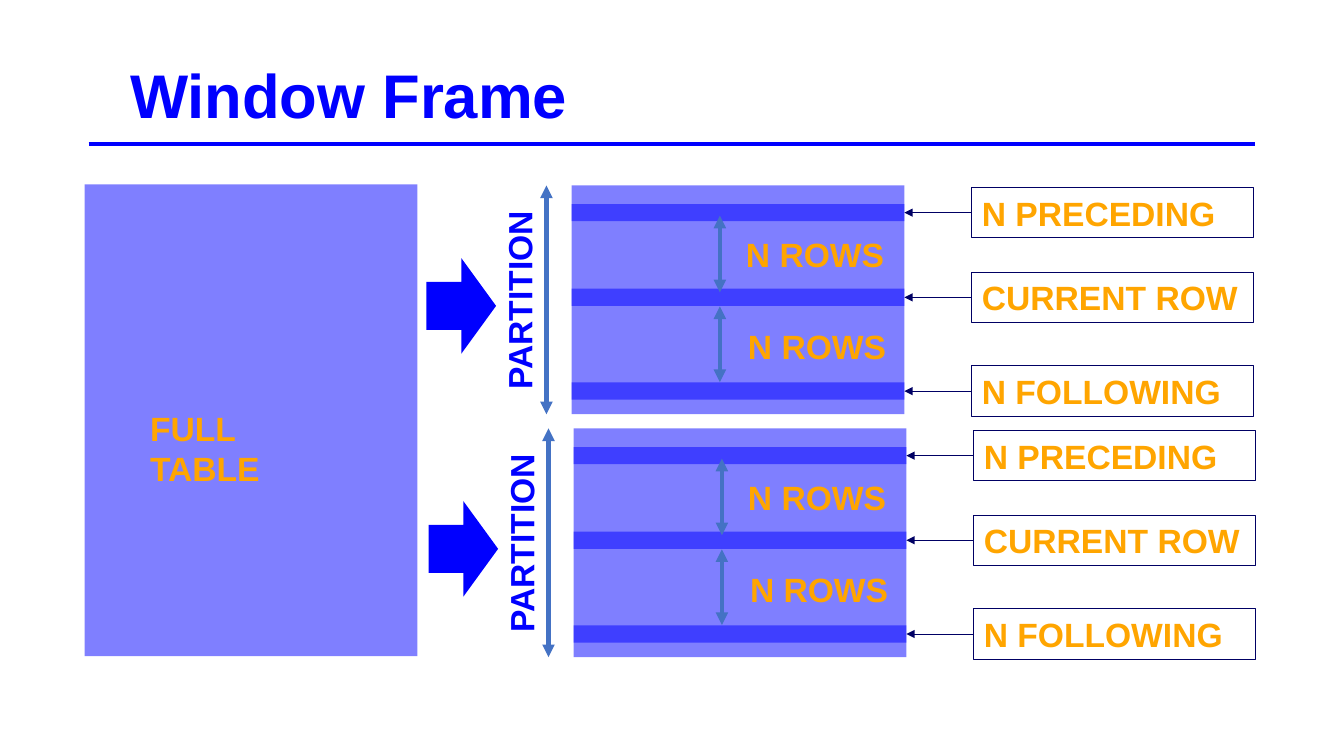
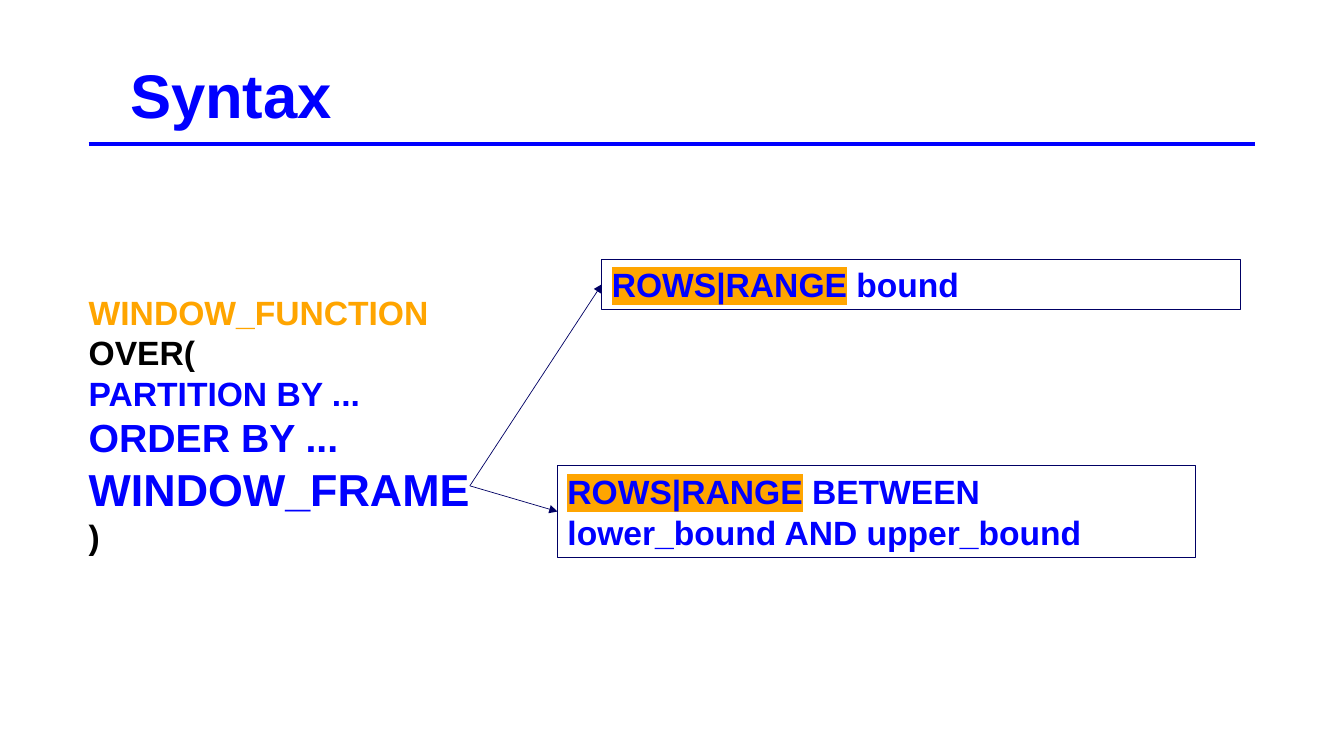
from dataclasses import dataclass

from pptx import Presentation
from pptx.dml.color import RGBColor
from pptx.enum.shapes import MSO_CONNECTOR, MSO_SHAPE
from pptx.enum.text import MSO_ANCHOR, MSO_AUTO_SIZE, PP_ALIGN
from pptx.oxml.ns import qn
from pptx.oxml.xmlchemy import OxmlElement
from pptx.util import Inches, Pt

STRAIGHT = MSO_CONNECTOR.STRAIGHT
RECTANGLE = MSO_SHAPE.RECTANGLE
RIGHT_ARROW = MSO_SHAPE.RIGHT_ARROW
TOP = MSO_ANCHOR.TOP
NO_AUTOFIT = MSO_AUTO_SIZE.NONE
ALIGN_LEFT = PP_ALIGN.LEFT
LEFT_SIDE, RIGHT_SIDE = 1, 3
TITLE_ONLY, TITLE_AND_CONTENT = 5, 1


@dataclass(frozen=True)
class Theme:
    font: str = "Arial"
    blue: str = "0000FF"
    orange: str = "FFA500"
    navy: str = "000064"
    steel: str = "4472C4"
    black: str = "000000"
    white: str = "FFFFFF"
    title_size: int = 44
    frame_size: int = 32
    order_size: int = 28
    text_size: int = 24
    line_height: float = 1.21
    thick: float = 3
    border: float = 0.75
    thin: float = 0.5
    half_opaque: int = 50


@dataclass(frozen=True)
class Run:
    text: str
    color: str
    size: int = Theme.text_size
    highlight: str = ""


def color_of(value):
    return RGBColor.from_string(value)


def add_child(parent, tag, **attributes):
    child = OxmlElement(tag)
    for name, value in attributes.items():
        child.set(name, str(value))
    parent.append(child)
    return child


class Deck:
    def __init__(self, theme):
        self.theme = theme
        self.presentation = Presentation()
        self.presentation.slide_width = Inches(13.33)
        self.presentation.slide_height = Inches(7.5)
        self.slide = None

    def new_slide(self, title, layout):
        theme = self.theme
        self.slide = self.presentation.slides.add_slide(
            self.presentation.slide_layouts[layout])
        shape = self.slide.shapes.title
        self.place(shape, 1.19, 0.51, 10.89, 0.77)
        shape.fill.solid()
        shape.fill.fore_color.rgb = color_of(theme.white)
        self.set_text(shape, [[Run(title, theme.blue, theme.title_size)]])
        shape.text_frame.margin_bottom = 0
        self.line((0.88, 1.43), (12.45, 1.43), theme.blue, theme.thick)

    def place(self, shape, left, top, width, height):
        shape.left, shape.top = Inches(left), Inches(top)
        shape.width, shape.height = Inches(width), Inches(height)

    def set_text(self, shape, paragraphs):
        frame = shape.text_frame
        frame.word_wrap = True
        frame.auto_size = NO_AUTOFIT
        frame.vertical_anchor = TOP
        for index, runs in enumerate(paragraphs):
            paragraph = frame.add_paragraph() if index else frame.paragraphs[0]
            paragraph.alignment = ALIGN_LEFT
            paragraph.space_before = Pt(0)
            paragraph.line_spacing = Pt(round(runs[0].size * self.theme.line_height))
            for item in runs:
                self.add_run(paragraph, item)

    def add_run(self, paragraph, item):
        run = paragraph.add_run()
        run.text = item.text
        run.font.name = self.theme.font
        run.font.size = Pt(item.size)
        run.font.bold = True
        run.font.color.rgb = color_of(item.color)
        if item.highlight:
            highlight = OxmlElement("a:highlight")
            add_child(highlight, "a:srgbClr", val=item.highlight)
            properties = run._r.get_or_add_rPr()
            properties.find(qn("a:solidFill")).addnext(highlight)

    def body(self, paragraphs, *box):
        shape = self.slide.placeholders[1]
        self.place(shape, *box)
        self.set_text(shape, paragraphs)
        for paragraph in shape.text_frame.paragraphs:
            properties = paragraph._p.get_or_add_pPr()
            properties.set("marL", "0")
            properties.set("indent", "0")
            add_child(properties, "a:buNone")

    def text(self, value, color, *box, rotation=0):
        shape = self.slide.shapes.add_textbox(*map(Inches, box))
        shape.rotation = rotation
        self.set_text(shape, [[Run(value, color)]])

    def block(self, kind, *box, opacity=100):
        shape = self.slide.shapes.add_shape(kind, *map(Inches, box))
        shape.shadow.inherit = False
        shape.line.fill.background()
        shape.fill.solid()
        shape.fill.fore_color.rgb = color_of(self.theme.blue)
        if opacity < 100:
            color = shape._element.spPr.find(qn("a:solidFill"))[0]
            add_child(color, "a:alpha", val=opacity * 1000)
        return shape

    def label(self, runs, *box):
        shape = self.slide.shapes.add_shape(RECTANGLE, *map(Inches, box))
        shape.shadow.inherit = False
        shape.fill.background()
        shape.line.color.rgb = color_of(self.theme.navy)
        shape.line.width = Pt(self.theme.border)
        self.set_text(shape, [runs])
        return shape

    def line(self, start, end, color, width, heads=()):
        connector = self.slide.shapes.add_connector(
            STRAIGHT, *map(Inches, start + end))
        connector.line.color.rgb = color_of(color)
        connector.line.width = Pt(width)
        properties = connector._element.spPr
        for head in heads:
            add_child(properties.find(qn("a:ln")), head, type="triangle")
        add_child(properties, "a:effectLst")
        return connector

    def span(self, x, top, bottom):
        self.line((x, top), (x, bottom), self.theme.steel, self.theme.thick,
                  ("a:headEnd", "a:tailEnd"))

    def pointer(self, start, end):
        return self.line(start, end, self.theme.navy, self.theme.thin, ("a:tailEnd",))


def add_partition(deck, left, top):
    theme = deck.theme
    width, height, band_height, label_height = 3.3, 2.27, 0.17, 0.5
    deck.block(RIGHT_ARROW, left - 1.44, top + 0.72, 0.69, 0.95)
    deck.text("PARTITION", theme.blue, left - 1.52, top + 0.88, 1.99, 0.5, rotation=270)
    deck.span(left - 0.25, top, top + height)
    deck.block(RECTANGLE, left, top, width, height, opacity=theme.half_opaque)
    for name, offset in (("N PRECEDING", 0.27), ("CURRENT ROW", 1.11), ("N FOLLOWING", 2.04)):
        center = top + offset
        band = deck.block(RECTANGLE, left, center - band_height / 2, width, band_height,
                          opacity=theme.half_opaque)
        label = deck.label([Run(name, theme.orange)], left + 3.97,
                           center - label_height / 2, 2.79, label_height)
        pointer = deck.pointer((left + 3.97, center), (left + width, center))
        pointer.begin_connect(label, LEFT_SIDE)
        pointer.end_connect(band, RIGHT_SIDE)
    for start, end, text_left, text_top in ((0.3, 1.06, 1.63, 0.43), (1.2, 1.95, 1.65, 1.34)):
        deck.span(left + 1.47, top + start, top + end)
        deck.text("N ROWS", theme.orange, left + text_left, top + text_top, 1.65, 0.5)


def build_window_frame(deck):
    theme = deck.theme
    deck.new_slide("Window Frame", TITLE_ONLY)
    deck.block(RECTANGLE, 0.84, 1.83, 3.3, 4.68, opacity=theme.half_opaque)
    deck.text("FULL TABLE", theme.orange, 1.39, 3.99, 2.1, 0.91)
    for left, top in ((5.67, 1.84), (5.69, 4.25)):
        add_partition(deck, left, top)


def build_syntax(deck):
    theme = deck.theme
    deck.new_slide("Syntax", TITLE_AND_CONTENT)
    deck.body([
        [Run("WINDOW_FUNCTION", theme.orange)],
        [Run("OVER(", theme.black)],
        [Run("PARTITION BY ...", theme.blue)],
        [Run("ORDER BY ...", theme.blue, theme.order_size)],
        [Run("WINDOW_FRAME", theme.blue, theme.frame_size)],
        [Run(")", theme.black)],
    ], 0.78, 2.84, 4.23, 2.73)
    for rest, left, top, height in (
        (" BETWEEN lower_bound AND upper_bound", 5.53, 4.62, 0.91),
        (" bound", 5.97, 2.57, 0.5),
    ):
        keyword = Run("ROWS|RANGE", theme.blue, highlight=theme.orange)
        label = deck.label([keyword, Run(rest, theme.blue)], left, top, 6.33, height)
        pointer = deck.pointer((4.66, 4.82), (left, top + height / 2))
        pointer.end_connect(label, LEFT_SIDE)


def main():
    deck = Deck(Theme())
    build_window_frame(deck)
    build_syntax(deck)
    deck.presentation.save("out.pptx")


if __name__ == "__main__":
    main()
